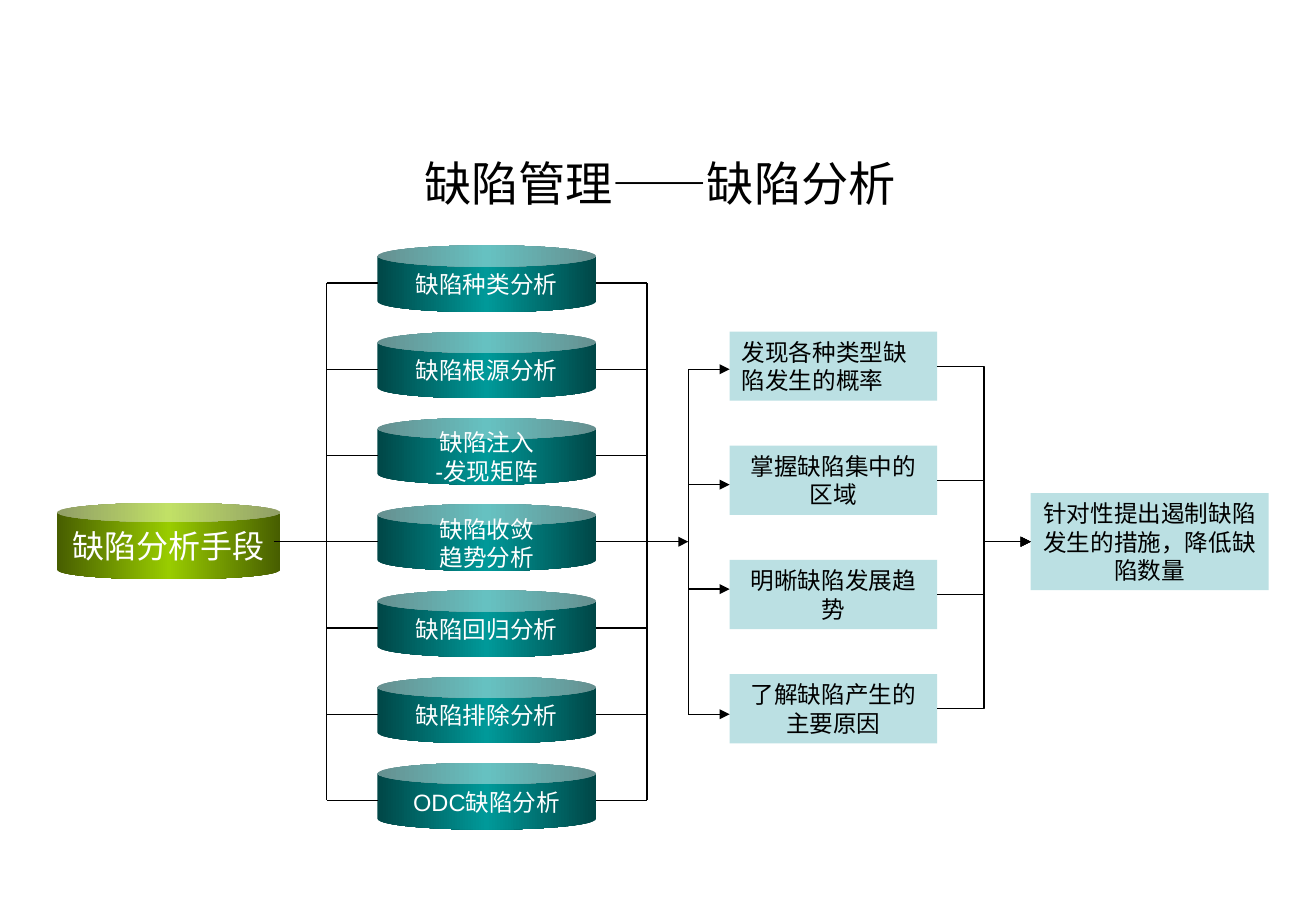
"""Build a slide that maps defect analysis methods to their benefits and outcome."""
from copy import deepcopy
from dataclasses import dataclass

from lxml import etree
from pptx import Presentation
from pptx.dml.color import RGBColor
from pptx.enum.shapes import MSO_CONNECTOR, MSO_SHAPE
from pptx.enum.text import MSO_ANCHOR, PP_ALIGN
from pptx.oxml.ns import qn
from pptx.util import Inches, Pt

CAN, RECTANGLE = MSO_SHAPE.CAN, MSO_SHAPE.RECTANGLE
STRAIGHT, ELBOW = MSO_CONNECTOR.STRAIGHT, MSO_CONNECTOR.ELBOW
LEFT, CENTER = PP_ALIGN.LEFT, PP_ALIGN.CENTER
MIDDLE = MSO_ANCHOR.MIDDLE
LEFT_SITE, RIGHT_SITE = 1, 3
TITLE_ONLY = 5


@dataclass(frozen=True)
class Theme:
    latin: str = "Arial"
    chinese: str = "Noto Sans CJK SC"
    ink: str = "000000"
    light: str = "FFFFFF"
    panel: str = "BBE0E3"
    green: tuple = ("475E00", "99CC00", "475E00")
    teal: tuple = ("004747", "009999", "004747")
    title_size: int = 28
    root_size: int = 19
    body_size: int = 14
    line_width: float = 0.75


THEME = Theme()

METHODS = [
    "缺陷种类分析",
    "缺陷根源分析",
    "缺陷注入\n-发现矩阵",
    "缺陷收敛\n趋势分析",
    "缺陷回归分析",
    "缺陷排除分析",
    "ODC缺陷分析",
]
BENEFITS = [
    ("发现各种类型缺陷发生的概率", LEFT, 3.04),
    ("掌握缺陷集中的区域", CENTER, 3.99),
    ("明晰缺陷发展趋势", CENTER, 4.85),
    ("了解缺陷产生的主要原因", CENTER, 5.88),
]
METHOD_PITCH = 0.71
METHOD_LEFT, METHOD_RIGHT = 3.11, 4.91
BENEFIT_LEFT, BENEFIT_PITCH = 6.01, 0.94
INPUT_RAIL, OUTPUT_RAIL, BENEFIT_RAIL = 2.69, 5.33, 5.67
METHOD_ROWS = [2.33 + METHOD_PITCH * index for index in range(len(METHODS))]
MIDDLE_ROW = METHOD_ROWS[len(METHODS) // 2]


def write_text(shape, text, size=THEME.body_size, color=THEME.ink, align=CENTER, wrap=True):
    """Fill a shape with text, one paragraph per line."""
    frame = shape.text_frame
    frame.text = text
    frame.word_wrap = wrap
    frame.vertical_anchor = MIDDLE
    for para in frame.paragraphs:
        para.alignment = align
        for span in para.runs:
            span.font.size = Pt(size)
            span.font.color.rgb = RGBColor.from_string(color)
            span.font.name = THEME.latin
            properties = span.font._element
            etree.SubElement(properties, qn("a:ea"), typeface=THEME.chinese)


def add_block(page, kind, left, top, width, height):
    """Add a preset shape without outline or shadow."""
    block = page.shapes.add_shape(
        kind, Inches(left), Inches(top), Inches(width), Inches(height)
    )
    block.shadow.inherit = False
    block.line.fill.background()
    return block


def add_cylinder(page, text, left, top, width, height, colors, rim, size=THEME.body_size):
    """Add a cylinder with a three-stop horizontal gradient."""
    cylinder = add_block(page, CAN, left, top, width, height)
    cylinder.adjustments[0] = rim
    fill = cylinder.fill
    fill.gradient()
    fill.gradient_angle = 0
    stop_list = cylinder._element.spPr.find(".//" + qn("a:gsLst"))
    stop_list.append(deepcopy(stop_list[-1]))
    for stop, color, position in zip(fill.gradient_stops, colors, (0, 0.5, 1)):
        stop.color.rgb = RGBColor.from_string(color)
        stop.position = position
    write_text(cylinder, text, size=size, color=THEME.light, wrap=False)


def add_panel(page, text, left, top, width, height, align=CENTER):
    """Add a pale rectangle with wrapped text."""
    panel = add_block(page, RECTANGLE, left, top, width, height)
    panel.fill.solid()
    panel.fill.fore_color.rgb = RGBColor.from_string(THEME.panel)
    write_text(panel, text, align=align)
    return panel


def add_line(page, start, end, kind=STRAIGHT, arrow=False):
    """Add a thin connector, with an arrowhead at its end if asked."""
    line = page.shapes.add_connector(
        kind, *(Inches(value) for value in (*start, *end))
    )
    line.line.color.rgb = RGBColor.from_string(THEME.ink)
    line.line.width = Pt(THEME.line_width)
    if arrow:
        etree.SubElement(line.line._get_or_add_ln(), qn("a:tailEnd"), type="triangle")
    etree.SubElement(line._element.spPr, qn("a:effectLst"))
    return line


def add_title(page, text):
    """Place and format the title placeholder."""
    title = page.shapes.title
    title.left, title.top = Inches(0.56), Inches(1.23)
    title.width, title.height = Inches(9.75), Inches(0.55)
    write_text(title, text, size=THEME.title_size)


def add_methods(page):
    """Add the analysis methods and the rails on both sides."""
    add_cylinder(page, "缺陷分析手段", 0.47, 4.14, 1.84, 0.63,
                 THEME.green, 0.25, size=THEME.root_size)
    for text, row in zip(METHODS, METHOD_ROWS):
        add_cylinder(page, text, METHOD_LEFT, row - 0.31,
                     METHOD_RIGHT - METHOD_LEFT, 0.55, THEME.teal, 0.32)
    for rail, edge in ((INPUT_RAIL, METHOD_LEFT), (OUTPUT_RAIL, METHOD_RIGHT)):
        add_line(page, (rail, METHOD_ROWS[0]), (rail, METHOD_ROWS[-1]))
        for row in METHOD_ROWS:
            add_line(page, (rail, row), (edge, row))
    add_line(page, (2.26, MIDDLE_ROW), (INPUT_RAIL, MIDDLE_ROW))


def add_benefits(page):
    """Add the benefit panels with their incoming arrows and return them."""
    panels = []
    for index, (text, align, arrow_row) in enumerate(BENEFITS):
        top = 2.73 + BENEFIT_PITCH * index
        panels.append(add_panel(page, text, BENEFIT_LEFT, top, 1.71, 0.57, align=align))
        add_line(page, (BENEFIT_RAIL, arrow_row), (BENEFIT_LEFT, arrow_row), arrow=True)
    add_line(page, (BENEFIT_RAIL, BENEFITS[0][2]), (BENEFIT_RAIL, BENEFITS[-1][2]))
    add_line(page, (OUTPUT_RAIL, MIDDLE_ROW), (BENEFIT_RAIL, MIDDLE_ROW), arrow=True)
    return panels


def add_outcome(page, panels):
    """Add the outcome panel and join every benefit to it."""
    outcome = add_panel(page, "针对性提出遏制缺陷发生的措施，降低缺陷数量",
                        8.49, 4.06, 1.96, 0.8)
    for panel in panels:
        link = add_line(page, (0, 0), (1, 1), kind=ELBOW, arrow=True)
        link.begin_connect(panel, RIGHT_SITE)
        link.end_connect(outcome, LEFT_SITE)


def main():
    """Build and save the deck."""
    deck = Presentation()
    deck.slide_width, deck.slide_height = Inches(10.84), Inches(7.5)
    page = deck.slides.add_slide(deck.slide_layouts[TITLE_ONLY])
    add_title(page, "缺陷管理——缺陷分析")
    add_methods(page)
    add_outcome(page, add_benefits(page))
    deck.save("out.pptx")


if __name__ == "__main__":
    main()
